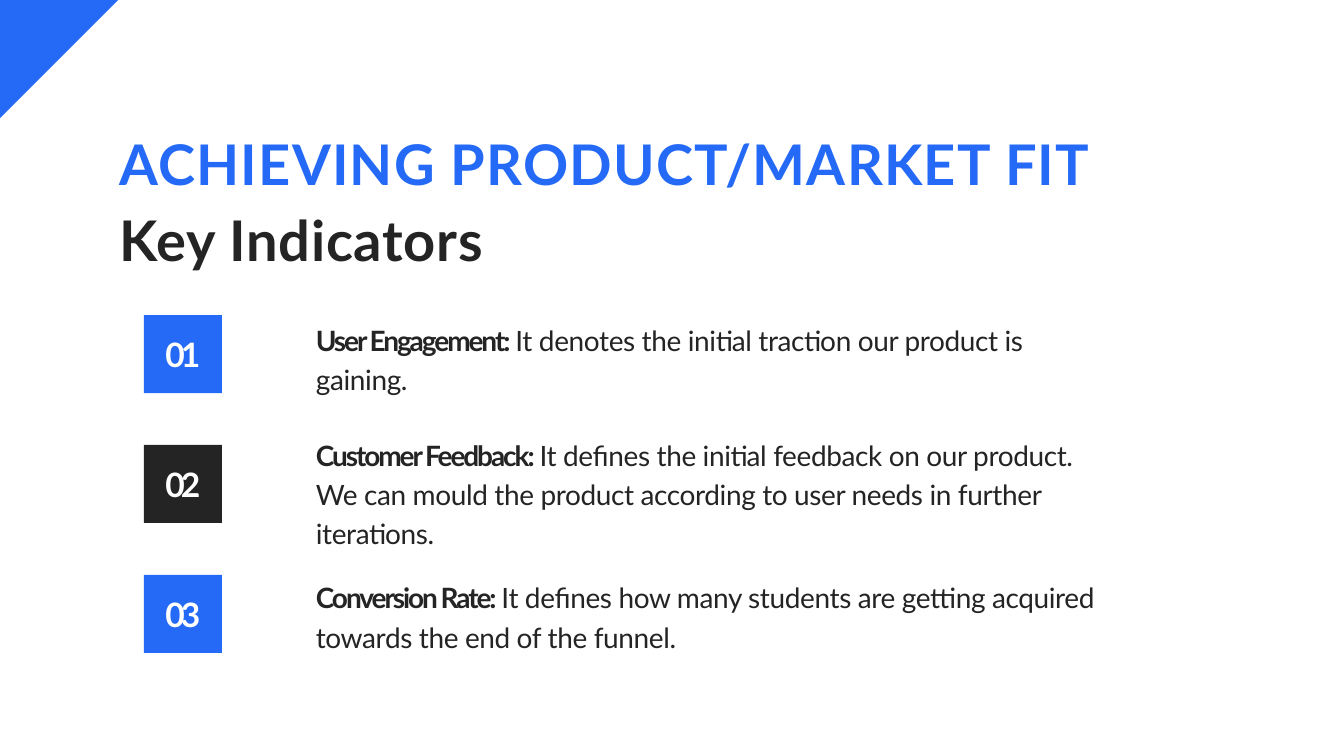
from dataclasses import dataclass

from pptx import Presentation
from pptx.dml.color import RGBColor
from pptx.enum.shapes import MSO_SHAPE
from pptx.enum.text import MSO_ANCHOR, MSO_AUTO_SIZE, PP_ALIGN
from pptx.util import Cm, Pt

RECTANGLE = MSO_SHAPE.RECTANGLE
TOP, MIDDLE = MSO_ANCHOR.TOP, MSO_ANCHOR.MIDDLE
NO_AUTOFIT = MSO_AUTO_SIZE.NONE
LEFT, CENTER = PP_ALIGN.LEFT, PP_ALIGN.CENTER

# Content
HEADING = "ACHIEVING PRODUCT/MARKET FIT"
SUBHEADING = "Key Indicators"
# Label, description, then top, width and height of the text in cm
INDICATORS = [
    ("User Engagement: ",
     "It denotes the initial traction our product is gaining.",
     (11.99, 27.79, 3.02)),
    ("Customer Feedback: ",
     "It defines the initial feedback on our product. We can mould the product "
     "according to user needs in further iterations.",
     (16.33, 29.72, 4.52)),
    ("Conversion Rate: ",
     "It defines how many students are getting acquired towards the end of the funnel.",
     (21.72, 30.35, 3.02)),
]


@dataclass(frozen=True)
class Theme:
    font: str = "Lato"
    blue: str = "256AF6"
    dark: str = "242424"
    white: str = "FFFFFF"
    title_size: int = 60
    number_size: int = 36
    body_size: int = 30


THEME = Theme()

# Layout in cm
PAGE_WIDTH, PAGE_HEIGHT = 50.8, 28.58
CORNER = 4.47
TILE_LEFT, TILE_TOP, TILE_SIZE, TILE_PITCH = 5.44, 11.91, 2.95, 4.91
TEXT_LEFT = 11.94


def paint(shape, color):
    shape.fill.solid()
    shape.fill.fore_color.rgb = RGBColor.from_string(color)
    shape.line.fill.background()
    shape.shadow.inherit = False


def set_frame(frame, inset_top=0, anchor=TOP):
    frame.word_wrap = True
    frame.auto_size = NO_AUTOFIT
    frame.vertical_anchor = anchor
    frame.margin_left = frame.margin_right = frame.margin_bottom = 0
    frame.margin_top = Cm(inset_top)


def set_para(para, align=LEFT, before=0, line=1.0):
    para.alignment = align
    para.space_before = Pt(before)
    para.line_spacing = line


def add_text(para, text, *, size, color, bold=True, tracking=0):
    """Add a run; tracking is the letter spacing in points."""
    span = para.add_run()
    span.text = text
    span.font.name = THEME.font
    span.font.size = Pt(size)
    span.font.bold = bold
    span.font.color.rgb = RGBColor.from_string(color)
    span.font._element.set("spc", str(round(tracking * 100)))


def add_corner(page):
    builder = page.shapes.build_freeform(0, 0)
    builder.add_line_segments([(Cm(CORNER), 0), (0, Cm(CORNER))], close=True)
    paint(builder.convert_to_shape(), THEME.blue)


def add_title(page):
    title = page.shapes.title
    title.left, title.top = Cm(4.52), Cm(0.74)
    title.width, title.height = Cm(41.76), Cm(9.58)
    frame = title.text_frame
    set_frame(frame, inset_top=4.17)
    lines = [(HEADING, THEME.blue, 9.8, 1.3), (SUBHEADING, THEME.dark, 8.8, 0.8)]
    for index, (text, color, before, tracking) in enumerate(lines):
        para = frame.add_paragraph() if index else frame.paragraphs[0]
        set_para(para, before=before)
        add_text(para, text, size=THEME.title_size, color=color, tracking=tracking)


def add_indicator(page, index, label, description, place):
    # Numbered tile, in alternating colours
    tile = page.shapes.add_shape(
        RECTANGLE, Cm(TILE_LEFT), Cm(TILE_TOP + index * TILE_PITCH),
        Cm(TILE_SIZE), Cm(TILE_SIZE))
    paint(tile, THEME.dark if index % 2 else THEME.blue)
    set_frame(tile.text_frame, anchor=MIDDLE)
    para = tile.text_frame.paragraphs[0]
    set_para(para, align=CENTER)
    add_text(para, f"{index + 1:02}", size=THEME.number_size,
             color=THEME.white, tracking=-4.2)

    # Label and description
    top, width, height = place
    box = page.shapes.add_textbox(Cm(TEXT_LEFT), Cm(top), Cm(width), Cm(height))
    set_frame(box.text_frame, inset_top=0.03)
    para = box.text_frame.paragraphs[0]
    set_para(para, before=0.9, line=1.17)
    add_text(para, label, size=THEME.body_size, color=THEME.dark, tracking=-2.2)
    add_text(para, description, size=THEME.body_size, color=THEME.dark,
             bold=False, tracking=-0.4)


def main():
    deck = Presentation()
    deck.slide_width, deck.slide_height = Cm(PAGE_WIDTH), Cm(PAGE_HEIGHT)
    page = deck.slides.add_slide(deck.slide_layouts.get_by_name("Title Only"))
    add_corner(page)
    add_title(page)
    for index, indicator in enumerate(INDICATORS):
        add_indicator(page, index, *indicator)
    deck.save("out.pptx")


if __name__ == "__main__":
    main()
